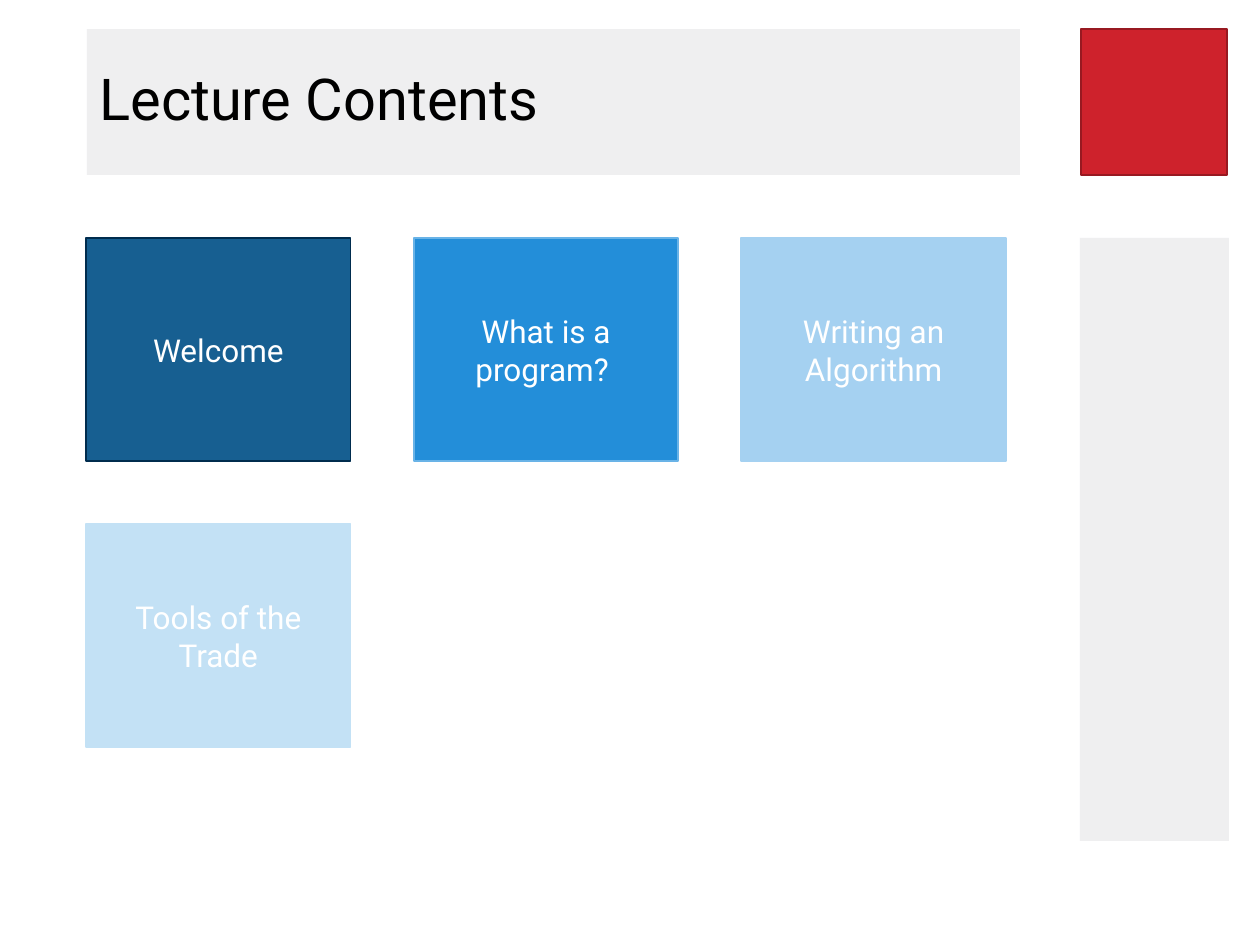
import pptx
import pptx.util
import pptx.dml.color
import pptx.enum.shapes
import pptx.enum.text
from dataclasses import dataclass

PX = 914400 / 126


@dataclass(frozen=True)
class Theme:
    font: str = "Roboto"
    head: int = 33
    body: int = 18
    edge: int = 1
    ink: str = "000000"
    pale: str = "FFFFFF"
    panel: str = "EFEFF0"
    red: str = "CE222C"
    rim: str = "981921"


THEME = Theme()

TOPICS = [
    ("Welcome", "175F91", "002C4E"),
    ("What is a program? ", "238ED9", "69B3E7"),
    ("Writing an Algorithm", "A5D1F1", "A5D1F1"),
    ("Tools of the Trade", "C3E1F5", "C3E1F5"),
]


def emu(px):
    return pptx.util.Emu(round(px * PX))


def color(code):
    return pptx.dml.color.RGBColor.from_string(code)


def block(slide, box, fill, line=None):
    kind = pptx.enum.shapes.MSO_SHAPE.RECTANGLE
    shape = slide.shapes.add_shape(kind, *map(emu, box))
    shape.shadow.inherit = False
    shape.fill.solid()
    shape.fill.fore_color.rgb = color(fill)
    if line:
        shape.line.color.rgb = color(line)
        shape.line.width = pptx.util.Pt(THEME.edge)
    else:
        shape.line.fill.background()
    return shape


def label(shape, text, size, ink, align):
    frame = shape.text_frame
    frame.word_wrap = True
    frame.vertical_anchor = pptx.enum.text.MSO_ANCHOR.MIDDLE
    para = frame.paragraphs[0]
    para.text = text
    para.alignment = align
    para.font.name = THEME.font
    para.font.size = pptx.util.Pt(size)
    para.font.color.rgb = color(ink)
    return para


def header(slide, box):
    left, top, width, height = box
    title = block(slide, (left, top, width - 207, height), THEME.panel)
    para = label(title, "Lecture Contents", THEME.head, THEME.ink,
                 pptx.enum.text.PP_ALIGN.LEFT)
    para.line_spacing = 0.9
    block(slide, (left + width - height, top, height, height),
          THEME.red, THEME.rim)


def sidebar(slide, box):
    block(slide, box, THEME.panel)


def tiles(slide, box, cols=3, gap=63):
    left, top, width, height = box
    rows = -(-len(TOPICS) // cols)
    wide = (width - gap * (cols - 1)) / cols
    tall = (height - gap * (rows - 1)) / rows
    for index, (text, fill, line) in enumerate(TOPICS):
        row, col = divmod(index, cols)
        place = (left + col * (wide + gap), top + row * (tall + gap),
                 wide, tall)
        tile = block(slide, place, fill, line)
        label(tile, text, THEME.body, THEME.pale,
              pptx.enum.text.PP_ALIGN.CENTER)


def main():
    deck = pptx.Presentation()
    deck.slide_width = emu(1260)
    deck.slide_height = emu(945)
    slide = deck.slides.add_slide(deck.slide_layouts[6])
    sidebar(slide, (1080, 238, 149, 603))
    header(slide, (87, 29, 1140, 146))
    tiles(slide, (86, 238, 920, 509))
    deck.save("out.pptx")


if __name__ == "__main__":
    main()
